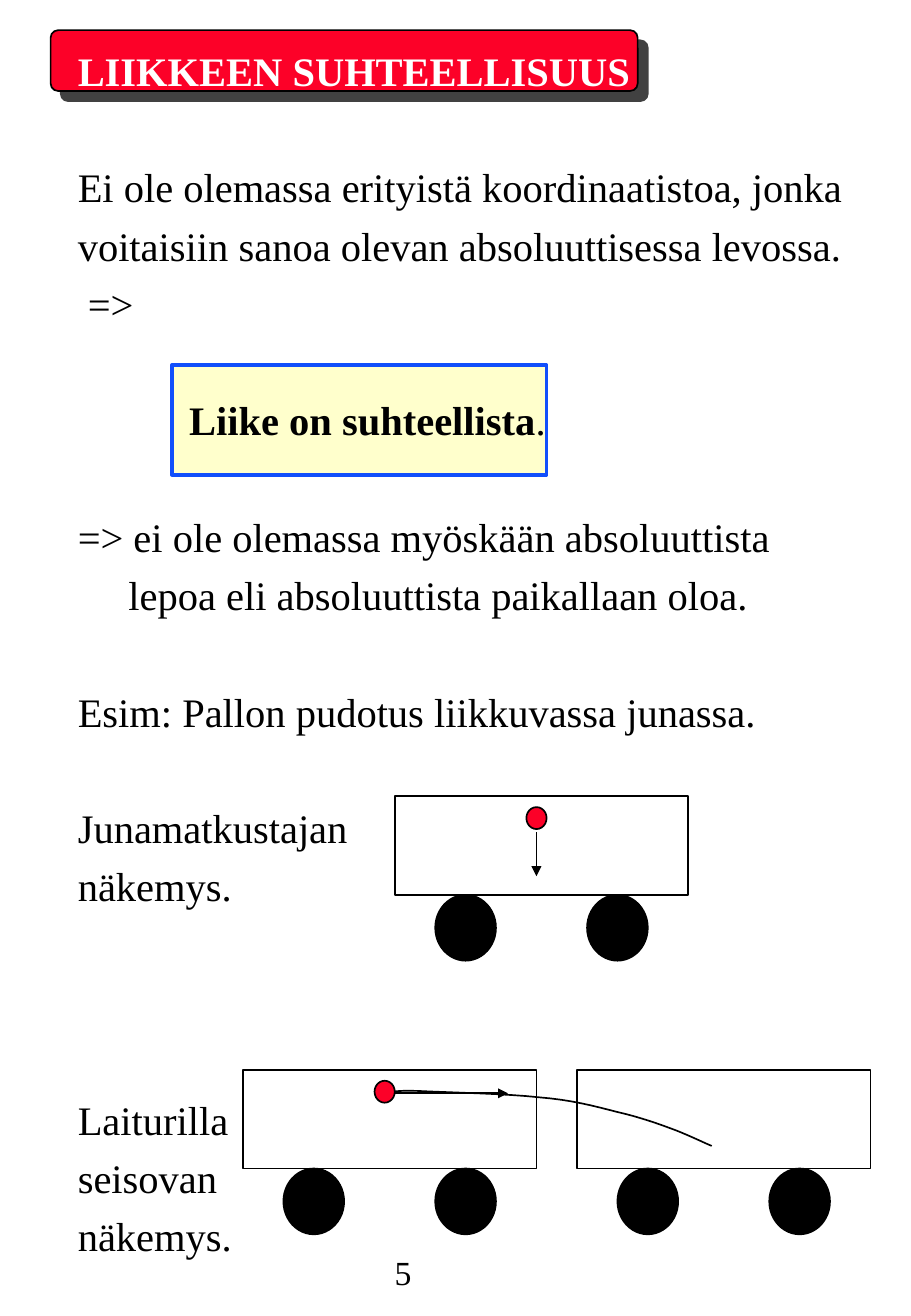
from dataclasses import dataclass
from typing import NamedTuple

from lxml import etree
from pptx import Presentation, util as u
from pptx.dml.color import RGBColor
from pptx.enum import shapes, text
from pptx.oxml.ns import qn

WIDTH, HEIGHT = u.Inches(7.5), u.Inches(10.84)
COLUMN, ROW = WIDTH / 90, HEIGHT / 120
SHAPE = shapes.MSO_SHAPE


@dataclass(frozen=True)
class Theme:
    font: str = "Times New Roman"
    black: str = "000000"
    white: str = "FFFFFF"
    red: str = "FC0128"
    blue: str = "114FFB"
    cream: str = "FFFFCC"
    shadow: str = "414141"
    body_size: float = 24
    number_size: float = 20
    pitch: float = 34.56
    space_width: float = 6
    outline: float = 1
    frame: float = 2.25


class Area(NamedTuple):
    left: float
    top: float
    width: float
    height: float


class Spot(NamedTuple):
    column: float
    row: float


class Line(NamedTuple):
    words: str
    gap: int = 0
    indent: int = 0
    bold: bool = False
    color: str = Theme.black
    ending: str = ""


class Wagon(NamedTuple):
    corner: Spot
    has_ball: bool
    has_fall: bool


LINES = [
    Line("LIIKKEEN SUHTEELLISUUS", bold=True, color=Theme.white),
    Line("Ei ole olemassa erityistä koordinaatistoa, jonka", gap=1),
    Line("voitaisiin sanoa olevan absoluuttisessa levossa."),
    Line("=>", indent=1),
    Line("Liike on suhteellista", gap=1, indent=11, bold=True, ending="."),
    Line("=> ei ole olemassa myöskään absoluuttista", gap=1),
    Line("lepoa eli absoluuttista paikallaan oloa.", indent=5),
    Line("Esim: Pallon pudotus liikkuvassa junassa.", gap=1),
    Line("Junamatkustajan", gap=1),
    Line("näkemys."),
    Line("Laiturilla", gap=3),
    Line("seisovan"),
    Line("näkemys."),
]
WAGONS = [
    Wagon(Spot(39, 72.6), True, True),
    Wagon(Spot(24, 97.55), True, False),
    Wagon(Spot(57, 97.55), False, False),
]
FALL_CURVE = [
    Spot(39, 99.52), Spot(39.36, 99.52), Spot(39.72, 99.41), Spot(42.12, 99.52),
    Spot(44.52, 99.63), Spot(50.16, 99.74), Spot(53.28, 100.07),
    Spot(56.4, 100.3), Spot(58.68, 100.85), Spot(60.96, 101.4),
    Spot(63.12, 101.85), Spot(65.16, 102.51), Spot(66.72, 103.06),
    Spot(68.28, 103.62), Spot(69.72, 104.28), Spot(70.32, 104.5),
]


def across(columns: float) -> int:
    return round(columns * COLUMN)


def down(rows: float) -> int:
    return round(rows * ROW)


def place(area: Area) -> tuple:
    return across(area.left), down(area.top), across(area.width), down(area.height)


def paint(shape, fill: str | None, line: str = Theme.black, weight: float = Theme.outline) -> None:
    shape.shadow.inherit = False
    if fill:
        shape.fill.solid()
        shape.fill.fore_color.rgb = RGBColor.from_string(fill)
    else:
        shape.fill.background()
    shape.line.color.rgb = RGBColor.from_string(line)
    shape.line.width = u.Pt(weight)


def add_preset(canvas, kind, area: Area, fill: str | None, **style):
    shape = canvas.add_shape(kind, *place(area))
    paint(shape, fill, **style)
    return shape


def add_title_plate(canvas) -> None:
    plate = add_preset(canvas, SHAPE.ROUNDED_RECTANGLE, Area(5, 2.75, 58, 5.55), Theme.red)
    plate.adjustments[0] = 0.125
    effects = plate._element.spPr.find(qn("a:effectLst"))
    shadow = etree.SubElement(effects, qn("a:outerShdw"), blurRad="0",
                              dist=str(u.Pt(8.5)), dir="2700000", algn="ctr", rotWithShape="0")
    etree.SubElement(shadow, qn("a:srgbClr"), val=Theme.shadow)


def add_text(canvas, area: Area, lines: list[Line], size: float, pitch: float | None = None) -> None:
    frame = canvas.add_textbox(*place(area)).text_frame
    frame.word_wrap = True
    frame.auto_size = text.MSO_AUTO_SIZE.NONE
    for index, line in enumerate(lines):
        para = frame.paragraphs[0] if index == 0 else frame.add_paragraph()
        if pitch:
            para.line_spacing = u.Pt(pitch)
        if line.gap:
            para.space_before = u.Pt(line.gap * pitch)
        if line.indent:
            margins = para._p.get_or_add_pPr()
            margins.set("marL", str(u.Pt(line.indent * Theme.space_width)))
            margins.set("indent", "0")
        para.font.name = Theme.font
        para.font.size = u.Pt(size)
        para.font.color.rgb = RGBColor.from_string(line.color)
        span = para.add_run()
        span.text = line.words
        if line.ending:
            span.font.bold = line.bold
            para.add_run().text = line.ending
        else:
            para.font.bold = line.bold


def add_arrow(canvas, start: Spot, end: Spot) -> None:
    arrow = canvas.add_connector(shapes.MSO_CONNECTOR.STRAIGHT, across(start.column),
                                 down(start.row), across(end.column), down(end.row))
    arrow.line.color.rgb = RGBColor.from_string(Theme.black)
    arrow.line.width = u.Pt(Theme.outline)
    etree.SubElement(arrow.line._get_or_add_ln(), qn("a:tailEnd"), type="triangle")
    etree.SubElement(arrow._element.spPr, qn("a:effectLst"))


def add_wagon(canvas, wagon: Wagon) -> None:
    group = canvas.add_group_shape().shapes
    left, top = wagon.corner
    add_preset(group, SHAPE.RECTANGLE, Area(left, top, 29, 9), None)
    for offset in (4, 19):
        add_preset(group, SHAPE.OVAL, Area(left + offset, top + 9, 6, 6), Theme.black)
    if wagon.has_ball:
        add_preset(group, SHAPE.OVAL, Area(left + 13, top + 1, 2, 2), Theme.red)
    if wagon.has_fall:
        add_arrow(group, Spot(left + 14, top + 3.3), Spot(left + 14, top + 7.3))


def bezier(controls: list[Spot], share: float) -> Spot:
    rest = 1 - share
    weights = (rest ** 3, 3 * rest ** 2 * share, 3 * rest * share ** 2, share ** 3)
    return Spot(sum(w * c.column for w, c in zip(weights, controls)),
                sum(w * c.row for w, c in zip(weights, controls)))


def add_curve(canvas, controls: list[Spot], steps: int = 8) -> None:
    spots = [bezier(controls[first:first + 4], step / steps)
             for first in range(0, len(controls) - 1, 3) for step in range(1, steps + 1)]
    builder = canvas.build_freeform(across(controls[0].column), down(controls[0].row))
    builder.add_line_segments([(across(s.column), down(s.row)) for s in spots], close=False)
    paint(builder.convert_to_shape(), None)


def main() -> None:
    deck = Presentation()
    deck.slide_width, deck.slide_height = WIDTH, HEIGHT
    canvas = deck.slides.add_slide(deck.slide_layouts[6]).shapes
    add_text(canvas, Area(37.8, 113.6, 16.3, 4.75), [Line("5")], Theme.number_size)
    add_preset(canvas, SHAPE.RECTANGLE, Area(17, 33.3, 37, 10), Theme.cream,
               line=Theme.blue, weight=Theme.frame)
    add_title_plate(canvas)
    add_text(canvas, Area(6.5, 2.75, 80, 112.7), LINES, Theme.body_size, Theme.pitch)
    for wagon in WAGONS:
        add_wagon(canvas, wagon)
    add_arrow(canvas, Spot(39, 99.7), Spot(50.2, 99.7))
    add_curve(canvas, FALL_CURVE)
    deck.save("out.pptx")


if __name__ == "__main__":
    main()
